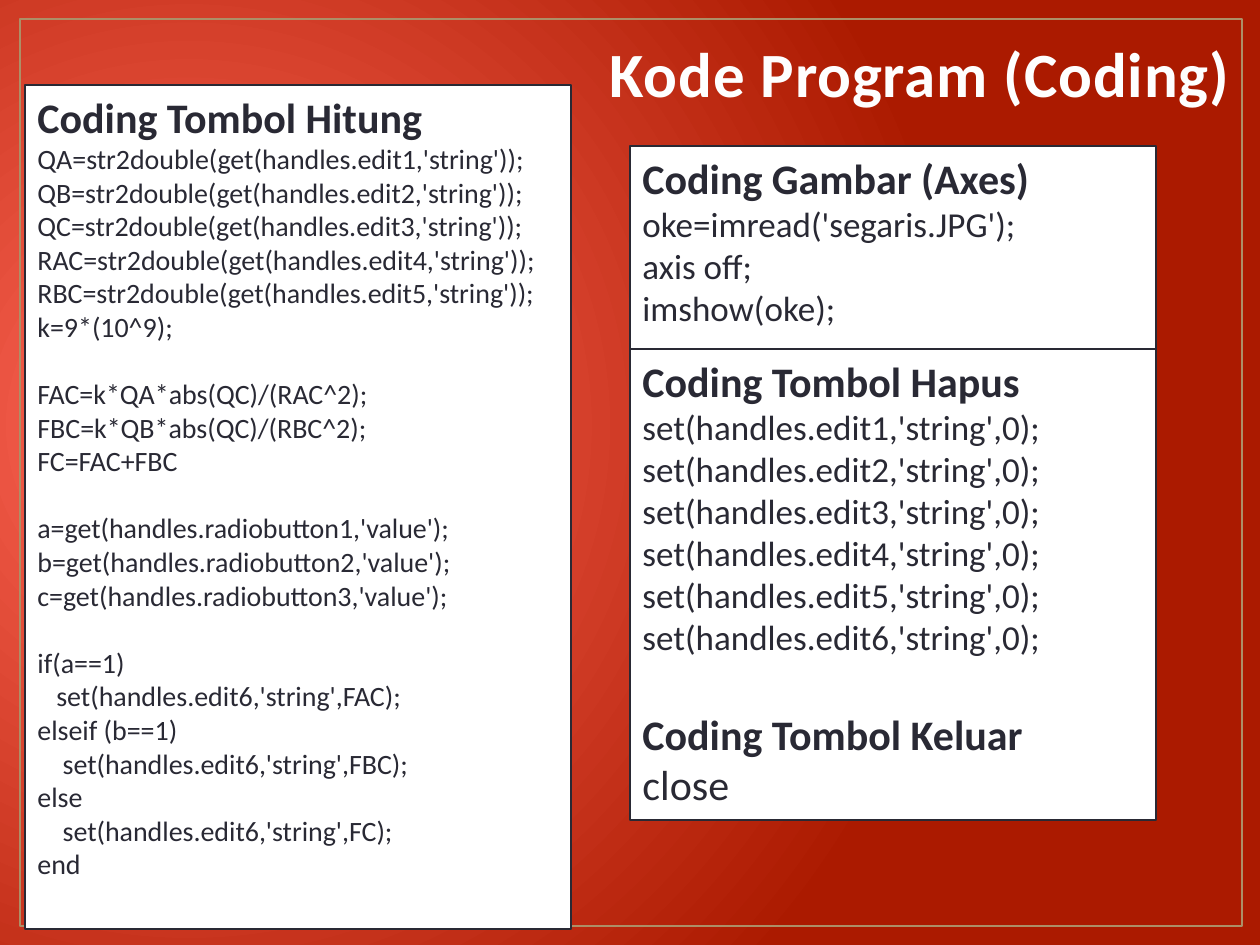
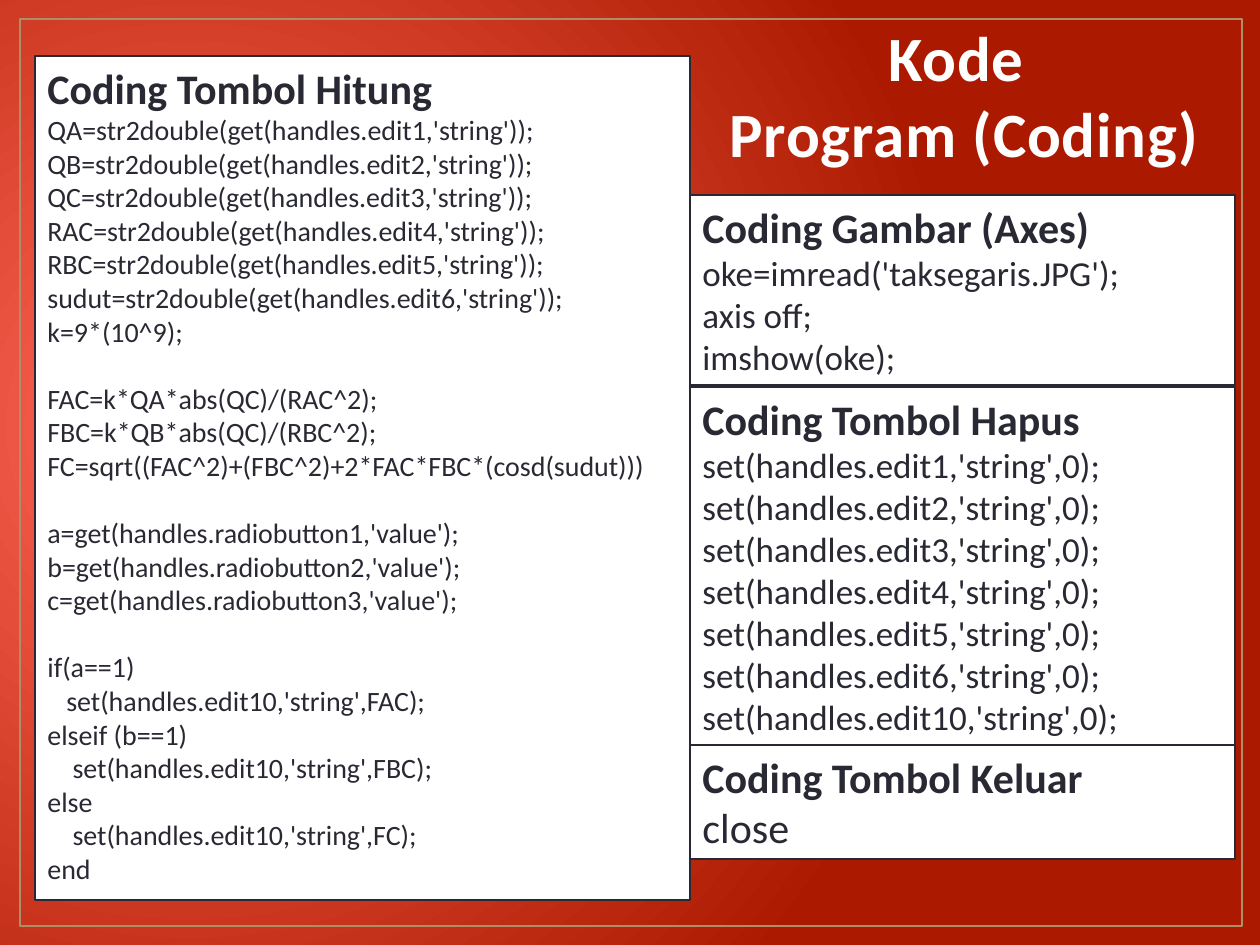
from pptx import Presentation
from pptx.dml.color import RGBColor
from pptx.enum.shapes import MSO_SHAPE
from pptx.enum.text import MSO_ANCHOR, MSO_AUTO_SIZE, PP_ALIGN
from pptx.oxml import parse_xml
from pptx.oxml.ns import nsdecls, qn
from pptx.util import Emu, Pt

COLORS = {"glow": "FF6656", "red": "AB1A00", "frame": "AD8F67",
          "title": "FEFEFE", "panel": "FFFFFF", "ink": "292934"}
FONT = "Calibri"
EMU_PER_PX = 914400 / 126
HEADING_SIZE = 24
LINE_HEIGHT = 1.2


def px(*lengths):
    return [Emu(round(length * EMU_PER_PX)) for length in lengths]


def style(paragraph, size, bold, color, alignment):
    paragraph.alignment = alignment
    font = paragraph.font
    font.name, font.size, font.bold = FONT, Pt(size), bold
    font.color.rgb = RGBColor.from_string(COLORS[color])


# Slide content: what differs between the two force programs
programs = [
    {"title": "Kode Program (Coding)", "title_box": (520, 45, 800, 71),
     "inputs": ["QA", "QB", "QC", "RAC", "RBC"], "total": "FAC+FBC",
     "result": 6, "image": "segaris.JPG", "cleared": [1, 2, 3, 4, 5, 6],
     "panels": [((25, 85, 546, 844), ["Hitung"]),
                ((630, 146, 526, 267), ["Gambar"]),
                ((630, 349, 526, 471), ["Hapus", "Keluar"])]},
    {"title": "Kode \vProgram (Coding)", "title_box": (564, 105, 800, 71),
     "inputs": ["QA", "QB", "QC", "RAC", "RBC", "sudut"],
     "total": "sqrt((FAC^2)+(FBC^2)+2*FAC*FBC*(cosd(sudut)))",
     "result": 10, "image": "taksegaris.JPG", "cleared": [1, 2, 3, 4, 5, 6, 10],
     "panels": [((35, 56, 655, 844), ["Hitung"]),
                ((690, 195, 545, 190), ["Gambar"]),
                ((690, 387, 545, 360), ["Hapus"]),
                ((690, 745, 545, 114), ["Keluar"])]},
]

presentation = Presentation()
presentation.slide_width, presentation.slide_height = px(1260, 945)

# Shared background: a radial red glow from the left
master = presentation.slide_master
background = master.background.fill
background.gradient()
for stop, position, color in zip(background.gradient_stops, (0, 1), ("glow", "red")):
    stop.position = position
    stop.color.rgb = RGBColor.from_string(COLORS[color])
gradient = master.element.find(".//" + qn("a:gradFill"))
gradient.remove(gradient.find(qn("a:lin")))
gradient.append(parse_xml(
    f'<a:path {nsdecls("a")} path="circle">'
    '<a:fillToRect l="15000" t="50000" r="85000" b="60000"/></a:path>'))

for program in programs:
    slide = presentation.slides.add_slide(presentation.slide_layouts.get_by_name("Title Only"))

    # Frame
    frame = slide.shapes.add_shape(MSO_SHAPE.RECTANGLE, *px(20, 19, 1222, 907))
    frame.shadow.inherit = False
    frame.fill.background()
    frame.line.color.rgb = RGBColor.from_string(COLORS["frame"])
    frame.line.width = Pt(1.5)

    # Title
    title = slide.shapes.title
    title.left, title.top, title.width, title.height = px(*program["title_box"])
    text_frame = title.text_frame
    text_frame.text = program["title"]
    text_frame.auto_size = MSO_AUTO_SIZE.NONE
    text_frame.vertical_anchor = MSO_ANCHOR.BOTTOM
    style(text_frame.paragraphs[0], 36, True, "title", PP_ALIGN.CENTER)
    for run in text_frame.paragraphs[0].runs:
        run._r.get_or_add_rPr().set("spc", "50")

    # Code sections: heading, text size, groups of lines
    target = f"handles.edit{program['result']},'string'"
    sections = {
        "Hitung": ("Coding Tombol Hitung", 16, [
            [f"{name}=str2double(get(handles.edit{number},'string'));"
             for number, name in enumerate(program["inputs"], 1)] + ["k=9*(10^9);"],
            ["FAC=k*QA*abs(QC)/(RAC^2);", "FBC=k*QB*abs(QC)/(RBC^2);",
             f"FC={program['total']}"],
            [f"{name}=get(handles.radiobutton{number},'value');"
             for number, name in enumerate("abc", 1)],
            ["if(a==1)", f"   set({target},FAC);",
             "elseif (b==1)", f"    set({target},FBC);",
             "else", f"    set({target},FC);", "end"]]),
        "Gambar": ("Coding Gambar (Axes)", 20, [
            [f"oke=imread('{program['image']}');", "axis off;", "imshow(oke);"]]),
        "Hapus": ("Coding Tombol Hapus", 20, [
            [f"set(handles.edit{number},'string',0);" for number in program["cleared"]]]),
        "Keluar": ("Coding Tombol Keluar", 24, [["close"]]),
    }

    # White code panels
    for box, names in program["panels"]:
        panel = slide.shapes.add_shape(MSO_SHAPE.RECTANGLE, *px(*box))
        panel.shadow.inherit = False
        panel.fill.solid()
        panel.fill.fore_color.rgb = RGBColor.from_string(COLORS["panel"])
        panel.line.color.rgb = RGBColor.from_string(COLORS["ink"])
        panel.line.width = Pt(1.25)
        text_frame = panel.text_frame
        text_frame.word_wrap = True
        text_frame.vertical_anchor = MSO_ANCHOR.TOP
        paragraph = text_frame.paragraphs[0]
        for section_index, name in enumerate(names):
            heading, size, groups = sections[name]
            if section_index:
                paragraph = text_frame.add_paragraph()
                paragraph.space_before = Pt(HEADING_SIZE * LINE_HEIGHT)
            paragraph.text = heading
            style(paragraph, HEADING_SIZE, True, "ink", PP_ALIGN.LEFT)
            for group_index, group in enumerate(groups):
                for line_index, line in enumerate(group):
                    paragraph = text_frame.add_paragraph()
                    paragraph.text = line
                    if group_index and not line_index:
                        paragraph.space_before = Pt(size * LINE_HEIGHT)
                    style(paragraph, size, False, "ink", PP_ALIGN.LEFT)

presentation.save("out.pptx")
